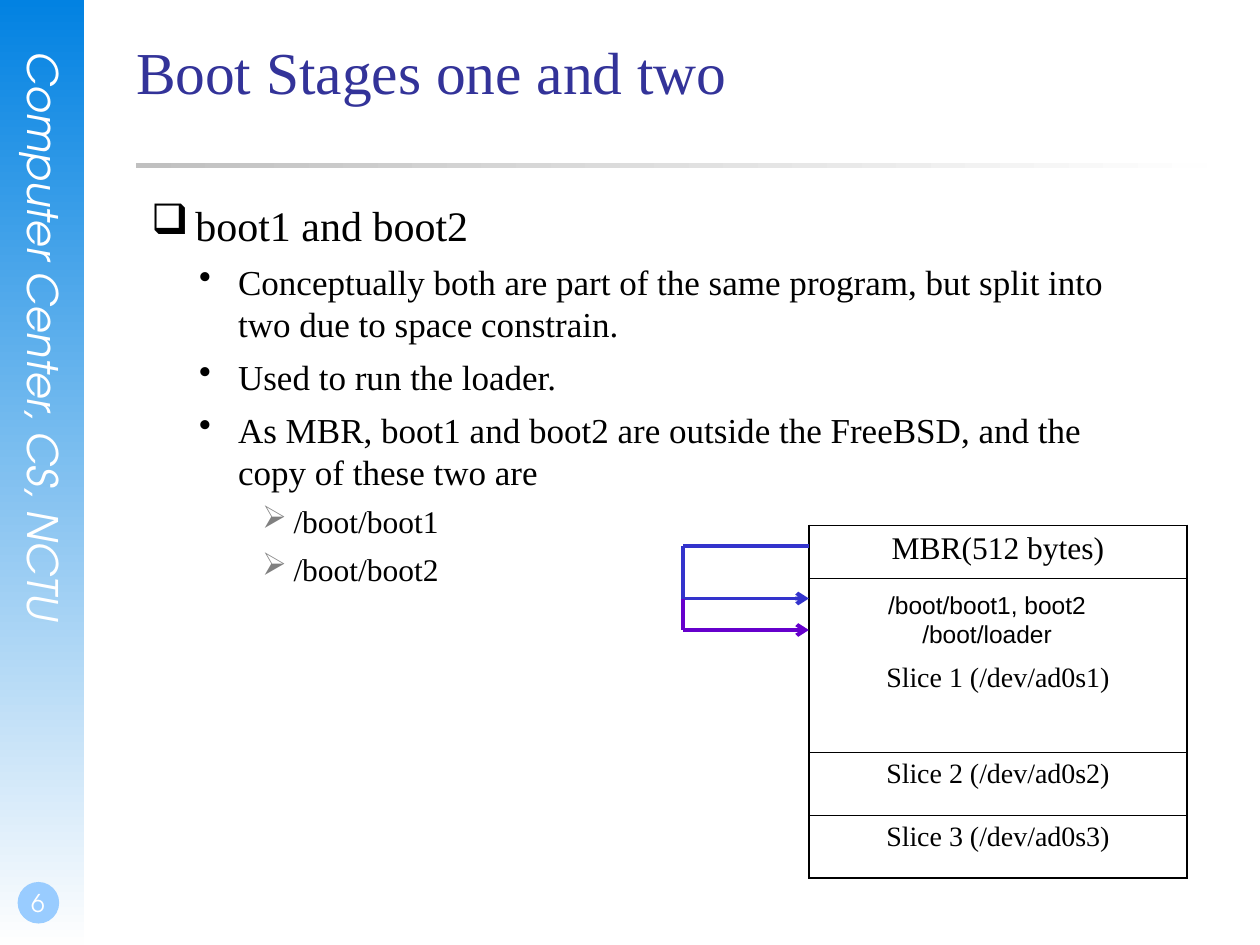
from lxml import etree
from pptx import Presentation
from pptx.dml.color import RGBColor
from pptx.enum.shapes import MSO_CONNECTOR, MSO_SHAPE
from pptx.enum.text import MSO_ANCHOR, PP_ALIGN
from pptx.oxml.ns import qn
from pptx.util import Inches, Pt

RECT, OVAL = MSO_SHAPE.RECTANGLE, MSO_SHAPE.OVAL
LINE = MSO_CONNECTOR.STRAIGHT
TOP, MIDDLE, BOTTOM = MSO_ANCHOR.TOP, MSO_ANCHOR.MIDDLE, MSO_ANCHOR.BOTTOM
LEFT, CENTER = PP_ALIGN.LEFT, PP_ALIGN.CENTER
SERIF, SANS, ROUND = "Times New Roman", "Arial", "TeX Gyre Adventor"
BLACK, WHITE, NAVY = "000000", "FFFFFF", "333399"
BLUE, PURPLE = "3333CC", "6600CC"

LEVELS = [
    ("❑", BLACK, 24, 0.47, -0.35, 7.5),
    ("•", BLACK, 20, 0.81, -0.31, 6.2),
    ("➢", "808080", 18, 1.25, -0.25, 5.6),
]
POINTS = [
    (0, "boot1 and boot2"),
    (1, "Conceptually both are part of the same program, but split into "
        "two due to space constrain."),
    (1, "Used to run the loader."),
    (1, "As MBR, boot1 and boot2 are outside the FreeBSD, and the "
        "copy of these two are"),
    (2, "/boot/boot1"),
    (2, "/boot/boot2"),
]
DISK = [
    ("MBR(512 bytes)", 18, 0.42, 0.05),
    ("Slice 1 (/dev/ad0s1)", 16, 1.38, 0.67),
    ("Slice 2 (/dev/ad0s2)", 16, 0.5, 0.05),
    ("Slice 3 (/dev/ad0s3)", 16, 0.5, 0.05),
]


def rgb(code):
    """Turn a hex string into a colour."""
    return RGBColor.from_string(code)


def inches(*sizes):
    """Turn numbers into lengths."""
    return [Inches(size) for size in sizes]


def add_run(para, text, size, font, color):
    """Add one styled run to a paragraph."""
    run = para.add_run()
    run.text = text
    run.font.size, run.font.name = Pt(size), font
    run.font.color.rgb = rgb(color)
    return run


def add_box(slide, place, anchor=TOP, wrap=True):
    """Add an empty text box without insets and return its frame."""
    frame = slide.shapes.add_textbox(*inches(*place)).text_frame
    frame.word_wrap, frame.vertical_anchor = wrap, anchor
    frame.margin_left = frame.margin_right = 0
    frame.margin_top = frame.margin_bottom = 0
    return frame


def add_text(frame, lines, size, font, color, align=LEFT):
    """Fill a frame with lines of one style."""
    for i, line in enumerate(lines):
        para = frame.add_paragraph() if i else frame.paragraphs[0]
        para.alignment = align
        add_run(para, line, size, font, color)


def add_shape(slide, kind, place, colors, angle=0):
    """Add a shape with a plain fill or a two-colour gradient."""
    shape = slide.shapes.add_shape(kind, *inches(*place))
    shape.shadow.inherit = False
    shape.line.fill.background()
    if len(colors) == 1:
        shape.fill.solid()
        shape.fill.fore_color.rgb = rgb(colors[0])
        return
    shape.fill.gradient()
    shape.fill.gradient_angle = angle
    for stop, color in zip(shape.fill.gradient_stops, colors):
        stop.color.rgb = rgb(color)


def add_bullet(para, level):
    """Give a paragraph the indent and bullet of its level."""
    mark, color, _, left, hang, _ = LEVELS[level]
    para.level = level
    props = para._p.get_or_add_pPr()
    props.set("marL", str(Inches(left)))
    props.set("indent", str(Inches(hang)))
    tint = etree.SubElement(props, qn("a:buClr"))
    etree.SubElement(tint, qn("a:srgbClr"), val=color)
    etree.SubElement(props, qn("a:buChar"), char=mark)


def add_points(slide):
    """Add the bulleted body."""
    frame = add_box(slide, (1.08, 1.58, 7.83, 4.67))
    for i, (level, text) in enumerate(POINTS):
        para = frame.add_paragraph() if i else frame.paragraphs[0]
        add_bullet(para, level)
        size, gap = LEVELS[level][2], LEVELS[level][5]
        if i:
            para.space_before = Pt(gap)
        add_run(para, text, size, SERIF, BLACK)


def add_edges(cell, widths):
    """Draw the left, right, top and bottom borders of a cell."""
    props = cell._tc.get_or_add_tcPr()
    for i, (side, width) in enumerate(zip("LRTB", widths)):
        edge = etree.Element(qn(f"a:ln{side}"), w=str(Pt(width)))
        fill = etree.SubElement(edge, qn("a:solidFill"))
        etree.SubElement(fill, qn("a:srgbClr"), val=BLACK)
        props.insert(i, edge)


def add_disk(slide):
    """Add the table of disk areas."""
    place = inches(6.42, 4.17, 3, 2.8)
    table = slide.shapes.add_table(len(DISK), 1, *place).table
    table.first_row = table.horz_banding = False
    thick, thin, last = 1.08, 0.45, len(DISK) - 1
    for i, (text, size, height, top) in enumerate(DISK):
        table.rows[i].height = Inches(height)
        cell = table.cell(i, 0)
        cell.fill.background()
        cell.margin_top = Inches(top)
        add_text(cell.text_frame, [text], size, SERIF, BLACK, CENTER)
        upper = thin if i else thick
        lower = thick if i == last else thin
        add_edges(cell, (thick, thick, upper, lower))


def add_line(slide, start, end, color, arrow=False):
    """Add a straight line, with an arrowhead if asked."""
    line = slide.shapes.add_connector(LINE, *inches(*start, *end))
    line.line.width = Pt(2.25)
    line.line.color.rgb = rgb(color)
    if arrow:
        stroke = line.line._get_or_add_ln()
        etree.SubElement(stroke, qn("a:tailEnd"), type="arrow")
    etree.SubElement(line._element.spPr, qn("a:effectLst"))


def add_jumps(slide):
    """Add the arrows that lead from the MBR to the boot stages."""
    near, far = 6.42, 5.42
    add_line(slide, (near, 4.33), (far, 4.33), BLUE)
    for top, low, color in ((4.33, 4.75, BLUE), (4.75, 5, PURPLE)):
        add_line(slide, (far, top), (far, low), color)
        add_line(slide, (far, low), (near, low), color, True)


def add_side(slide):
    """Add the side band with its name and page number."""
    add_shape(slide, RECT, (0, 0, 0.67, 7.5), ("0282E2", "FEFEFE"), 270)
    frame = add_box(slide, (0.15, 0.41, 0.4, 4.8))
    frame._txBody.bodyPr.set("vert", "eaVert")
    name = add_run(frame.paragraphs[0], "Computer Center, CS, NCTU",
                   24, ROUND, WHITE)
    name.font.italic = True
    add_shape(slide, OVAL, (0.14, 7, 0.33, 0.33), ["99CCFF"])
    frame = add_box(slide, (0, 6.83, 0.58, 0.5), BOTTOM)
    frame.margin_left, frame.margin_bottom = inches(0.02, 0.05)
    add_text(frame, ["6"], 14, ROUND, WHITE, CENTER)


def main():
    """Build the slide and save it."""
    deck = Presentation()
    deck.slide_width, deck.slide_height = inches(10, 7.5)
    slide = deck.slides.add_slide(deck.slide_layouts[6])
    add_side(slide)
    add_shape(slide, RECT, (1.08, 1.29, 8.5, 0.04), ("C0C0C0", "FEFEFE"))
    title = add_box(slide, (1.08, 0.28, 8.5, 1.25))
    add_text(title, ["Boot Stages one and two"], 34, SERIF, NAVY)
    add_points(slide)
    add_disk(slide)
    add_jumps(slide)
    stages = add_box(slide, (6.67, 4.58, 2.33, 0.67), MIDDLE, False)
    add_text(stages, ["/boot/boot1, boot2", "/boot/loader"],
             14, SANS, BLACK, CENTER)
    deck.save("out.pptx")


if __name__ == "__main__":
    main()
